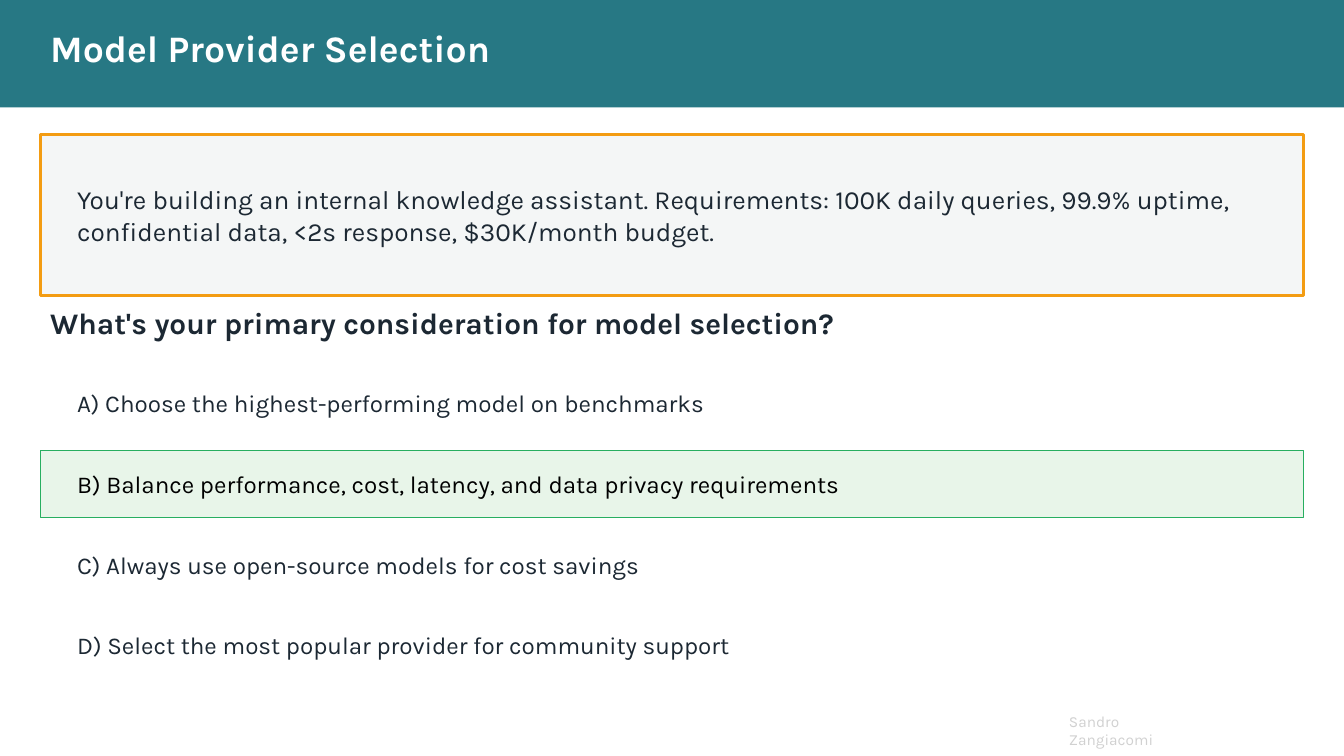
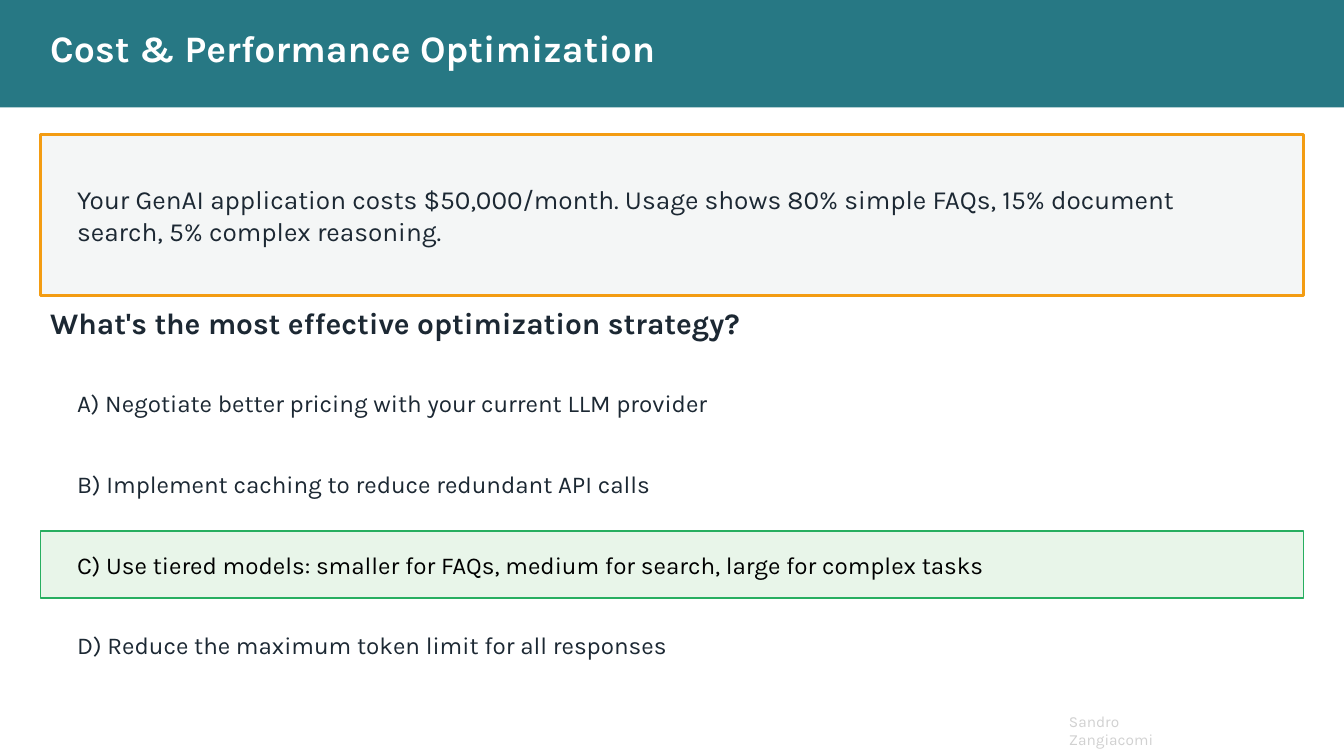
from dataclasses import dataclass

from pptx import Presentation
from pptx import util as u
from pptx.dml.color import RGBColor
from pptx.enum import shapes, text

PX = 12192  # EMU per px: the slide is 1000 px wide
SLIDE_W = 1000


@dataclass(frozen=True)
class Theme:
    font: str = "Karla"
    band: str = "277884"
    title: str = "FFFFFF"
    ink: str = "1C2833"
    panel: str = "F4F6F6"
    panel_line: str = "F39C12"
    answer: str = "E8F5E9"
    answer_line: str = "27AE60"
    answer_ink: str = "000000"
    footer: str = "D1D1D1"
    title_pt: float = 26.7
    question_pt: float = 21.3
    scenario_pt: float = 18.7
    option_pt: float = 17.3
    footer_pt: float = 11


T = Theme()

QUIZZES = [
    dict(
        title="Model Provider Selection",
        scenario="You're building an internal knowledge assistant. Requirements: "
                 "100K daily queries, 99.9% uptime, confidential data, "
                 "<2s response, $30K/month budget.",
        question="What's your primary consideration for model selection?",
        options=[
            "A) Choose the highest-performing model on benchmarks",
            "B) Balance performance, cost, latency, and data privacy requirements",
            "C) Always use open-source models for cost savings",
            "D) Select the most popular provider for community support",
        ],
        answer=1,
    ),
    dict(
        title="Cost & Performance Optimization",
        scenario="Your GenAI application costs $50,000/month. Usage shows "
                 "80% simple FAQs, 15% document search, 5% complex reasoning.",
        question="What's the most effective optimization strategy?",
        options=[
            "A) Negotiate better pricing with your current LLM provider",
            "B) Implement caching to reduce redundant API calls",
            "C) Use tiered models: smaller for FAQs, medium for search, "
            "large for complex tasks",
            "D) Reduce the maximum token limit for all responses",
        ],
        answer=2,
    ),
]


def emu(*lengths):
    return [u.Emu(n * PX) for n in lengths]


def add_rect(slide, box, fill, line=None, line_pt=1):
    sp = slide.shapes.add_shape(shapes.MSO_SHAPE.RECTANGLE, *emu(*box))
    sp.shadow.inherit = False
    sp.fill.solid()
    sp.fill.fore_color.rgb = RGBColor.from_string(fill)
    if line:
        sp.line.color.rgb = RGBColor.from_string(line)
        sp.line.width = u.Pt(line_pt)
    else:
        sp.line.fill.background()


def add_text(slide, box, words, size, color, bold=False,
             anchor=text.MSO_ANCHOR.MIDDLE):
    tf = slide.shapes.add_textbox(*emu(*box)).text_frame
    tf.word_wrap = True
    tf.vertical_anchor = anchor
    tf.text = words
    font = tf.paragraphs[0].runs[0].font
    font.name, font.size, font.bold = T.font, u.Pt(size), bold
    font.color.rgb = RGBColor.from_string(color)


def add_footer(slide, box):
    add_text(slide, box, "Sandro Zangiacomi", T.footer_pt, T.footer,
             anchor=text.MSO_ANCHOR.TOP)


def add_title_band(slide, box, title):
    x, y, w, h = box
    add_rect(slide, box, T.band)
    add_text(slide, (x + 30, y + 10, w - 250, h - 30), title,
             T.title_pt, T.title, bold=True)


def add_scenario(slide, box, words):
    x, y, w, h = box
    add_rect(slide, box, T.panel, T.panel_line, 2)
    add_text(slide, (x + 20, y + 10, w - 40, h - 20), words,
             T.scenario_pt, T.ink)


def add_options(slide, box, options, answer, gap=10):
    x, y, w, h = box
    row_h = (h - gap * (len(options) - 1)) // len(options)
    for i, option in enumerate(options):
        top = y + i * (row_h + gap)
        color = T.ink
        if i == answer:
            add_rect(slide, (x, top, w, row_h), T.answer, T.answer_line)
            color = T.answer_ink
        add_text(slide, (x + 20, top, w - 40, row_h), option,
                 T.option_pt, color)


def add_quiz(prs, title, scenario, question, options, answer):
    slide = prs.slides.add_slide(prs.slide_layouts[6])
    add_footer(slide, (788, 526, 112, 22))
    add_title_band(slide, (0, 0, SLIDE_W, 80), title)
    add_scenario(slide, (30, 100, 940, 120), scenario)
    add_text(slide, (30, 220, 940, 40), question,
             T.question_pt, T.ink, bold=True)
    add_options(slide, (30, 275, 940, 230), options, answer)


def main():
    prs = Presentation()
    prs.slide_width = u.Emu(SLIDE_W * PX)
    prs.slide_height = u.Inches(7.5)
    for quiz in QUIZZES:
        add_quiz(prs, **quiz)
    prs.save("out.pptx")


if __name__ == "__main__":
    main()
